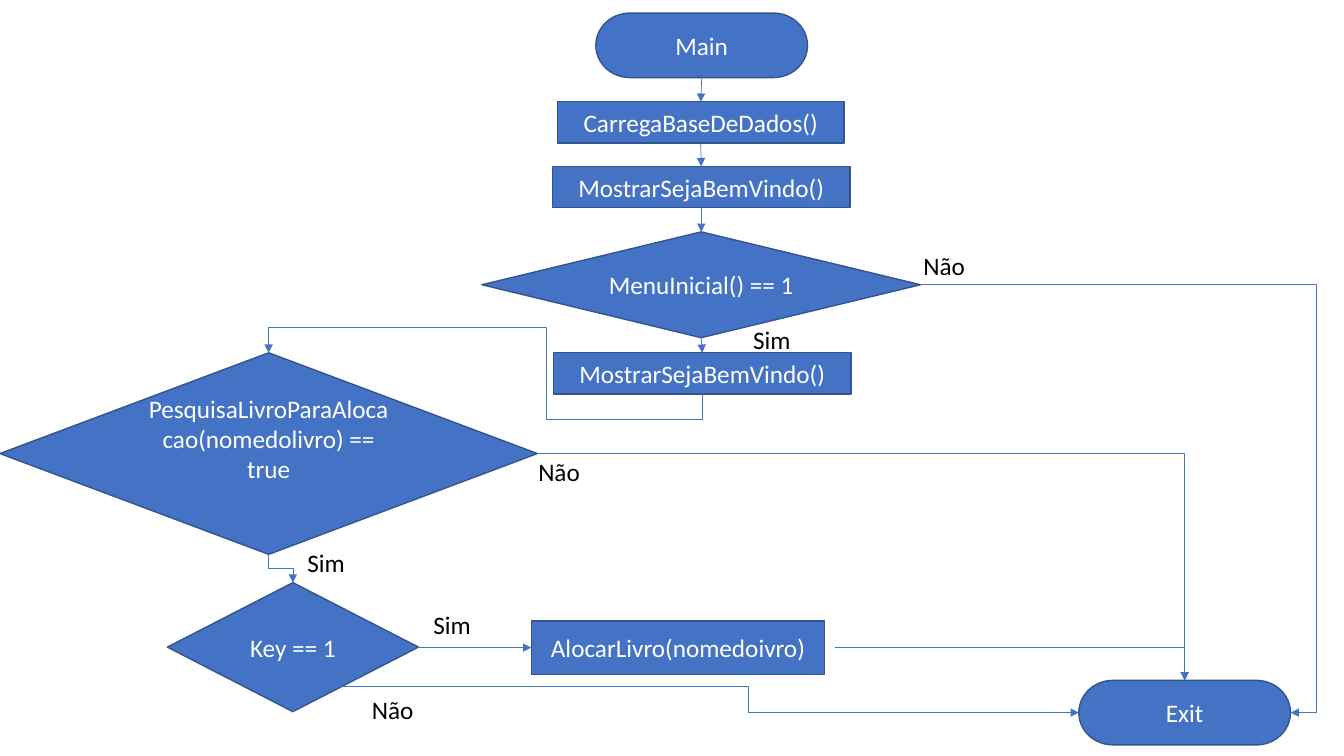
"""Build the book allocation flowchart slide."""
import lxml.etree
import pptx
import pptx.dml.color
import pptx.enum.shapes
import pptx.enum.text
import pptx.oxml.ns
import pptx.util

Inches = pptx.util.Inches
Pt = pptx.util.Pt
SHAPE = pptx.enum.shapes.MSO_SHAPE
CONNECTOR = pptx.enum.shapes.MSO_CONNECTOR
ALIGN = pptx.enum.text.PP_ALIGN
ANCHOR = pptx.enum.text.MSO_ANCHOR

BLUE, OUTLINE, WHITE, BLACK = "4472C4", "325491", "FFFFFF", "000000"
TOP, LEFT, BOTTOM, RIGHT = range(4)
TERMINATOR = SHAPE.FLOWCHART_TERMINATOR
PROCESS = SHAPE.FLOWCHART_PROCESS
DECISION = SHAPE.FLOWCHART_DECISION

STEPS = {
    "main": (TERMINATOR, "Main", 5.91, 0.13, 2.1, 0.64),
    "load": (PROCESS, "CarregaBaseDeDados()", 5.53, 1.01, 2.84, 0.41),
    "welcome": (PROCESS, "MostrarSejaBemVindo()", 5.48, 1.65, 2.95, 0.41),
    "menu": (DECISION, "MenuInicial() == 1", 4.78, 2.3, 4.35, 1.05),
    "welcome again": (PROCESS, "MostrarSejaBemVindo()", 5.49, 3.5, 2.95, 0.41),
    "search": (DECISION, "PesquisaLivroParaAlocacao(nomedolivro) == true", 0, 3.5, 5.33, 2),
    "key": (DECISION, "Key == 1", 1.66, 5.78, 2.49, 1.28),
    "allocate": (PROCESS, "AlocarLivro(nomedoivro)", 5.27, 6.16, 2.91, 0.53),
    "exit": (TERMINATOR, "Exit", 10.7, 6.75, 2.1, 0.64),
}
SEARCH_BOTTOM_INSET = 0.35

STRAIGHT_ARROWS = [
    ("main", "load"),
    ("load", "welcome"),
    ("welcome", "menu"),
    ("menu", "welcome again"),
]

# start, end, preset, rotation, adjustments
BENT_ARROWS = [
    (("menu", RIGHT), ("exit", RIGHT), "bentConnector3", 0, [1.07]),
    (("welcome again", BOTTOM), ("search", TOP), "bentConnector5", 90, [-0.61, 0.36, 1.61]),
    (("search", BOTTOM), ("key", TOP), "bentConnector3", 270, [0.5]),
    (("key", RIGHT), ("allocate", LEFT), "bentConnector3", 0, [0.5]),
    ((8.28, 6.42), ("exit", TOP), "bentConnector2", 0, []),
    (("search", RIGHT), ("exit", TOP), "bentConnector2", 0, []),
    (("key", BOTTOM), ("exit", LEFT), "bentConnector4", 270, [-25, 0.58]),
]

ANSWERS = [
    ("Não", 9.06, 2.43, 0.62),
    ("Sim", 7.37, 3.17, 0.58),
    ("Sim", 4.2, 6, 0.93),
    ("Não", 3.59, 6.84, 0.62),
    ("Sim", 2.95, 5.38, 0.58),
    ("Não", 5.24, 4.48, 0.62),
]


def rgb(value):
    return pptx.dml.color.RGBColor.from_string(value)


def write(frame, wording, colour, align):
    paragraph = frame.paragraphs[0]
    paragraph.alignment = align
    run = paragraph.add_run()
    run.text = wording
    run.font.size = Pt(18)
    run.font.name = "Calibri"
    run.font.color.rgb = rgb(colour)


def add_step(slide, preset, wording, *box):
    step = slide.shapes.add_shape(preset, *map(Inches, box))
    step.shadow.inherit = False
    step.fill.solid()
    step.fill.fore_color.rgb = rgb(BLUE)
    step.line.color.rgb = rgb(OUTLINE)
    step.line.width = Pt(1)
    step.text_frame.word_wrap = True
    step.text_frame.vertical_anchor = ANCHOR.MIDDLE
    write(step.text_frame, wording, WHITE, ALIGN.CENTER)
    return step


def add_arrow(slide, steps, start, end, kind=CONNECTOR.STRAIGHT):
    x, y = (0, 0) if start[0] in steps else map(Inches, start)
    arrow = slide.shapes.add_connector(kind, x, y, x, y)
    if start[0] in steps:
        arrow.begin_connect(steps[start[0]], start[1])
    arrow.end_connect(steps[end[0]], end[1])
    arrow.line.color.rgb = rgb(BLUE)
    arrow.line.width = Pt(0.5)
    properties = arrow._element.spPr
    outline = properties.find(pptx.oxml.ns.qn("a:ln"))
    lxml.etree.SubElement(outline, pptx.oxml.ns.qn("a:tailEnd"), type="triangle")
    lxml.etree.SubElement(properties, pptx.oxml.ns.qn("a:effectLst"))
    return arrow


def bend(arrow, preset, rotation, adjustments):
    properties = arrow._element.spPr
    geometry = properties.find(pptx.oxml.ns.qn("a:prstGeom"))
    geometry.set("prst", preset)
    guides = geometry.find(pptx.oxml.ns.qn("a:avLst"))
    for number, share in enumerate(adjustments, 1):
        lxml.etree.SubElement(guides, pptx.oxml.ns.qn("a:gd"), name=f"adj{number}",
                              fmla=f"val {round(share * 100000)}")
    if rotation:
        middle_x = (arrow.begin_x + arrow.end_x) // 2
        middle_y = (arrow.begin_y + arrow.end_y) // 2
        width, height = arrow.height, arrow.width
        arrow.left, arrow.top = middle_x - width // 2, middle_y - height // 2
        arrow.width, arrow.height = width, height
        turn = properties.find(pptx.oxml.ns.qn("a:xfrm"))
        turn.set("rot", str(rotation * 60000))
        turn.set("flipH", "1")
        turn.set("flipV", "0")


def add_answer(slide, wording, left, top, width):
    answer = slide.shapes.add_textbox(*map(Inches, (left, top, width, 0.4)))
    answer.text_frame.word_wrap = False
    write(answer.text_frame, wording, BLACK, ALIGN.LEFT)


deck = pptx.Presentation()
deck.slide_width, deck.slide_height = Inches(13.33), Inches(7.5)
flowchart = deck.slides.add_slide(deck.slide_layouts[6])

steps = {name: add_step(flowchart, *step) for name, step in STEPS.items()}
steps["search"].text_frame.margin_bottom = Inches(SEARCH_BOTTOM_INSET)
for upper, lower in STRAIGHT_ARROWS:
    add_arrow(flowchart, steps, (upper, BOTTOM), (lower, TOP))
for start, end, *route in BENT_ARROWS:
    bend(add_arrow(flowchart, steps, start, end, CONNECTOR.ELBOW), *route)
for answer in ANSWERS:
    add_answer(flowchart, *answer)

deck.save("out.pptx")
